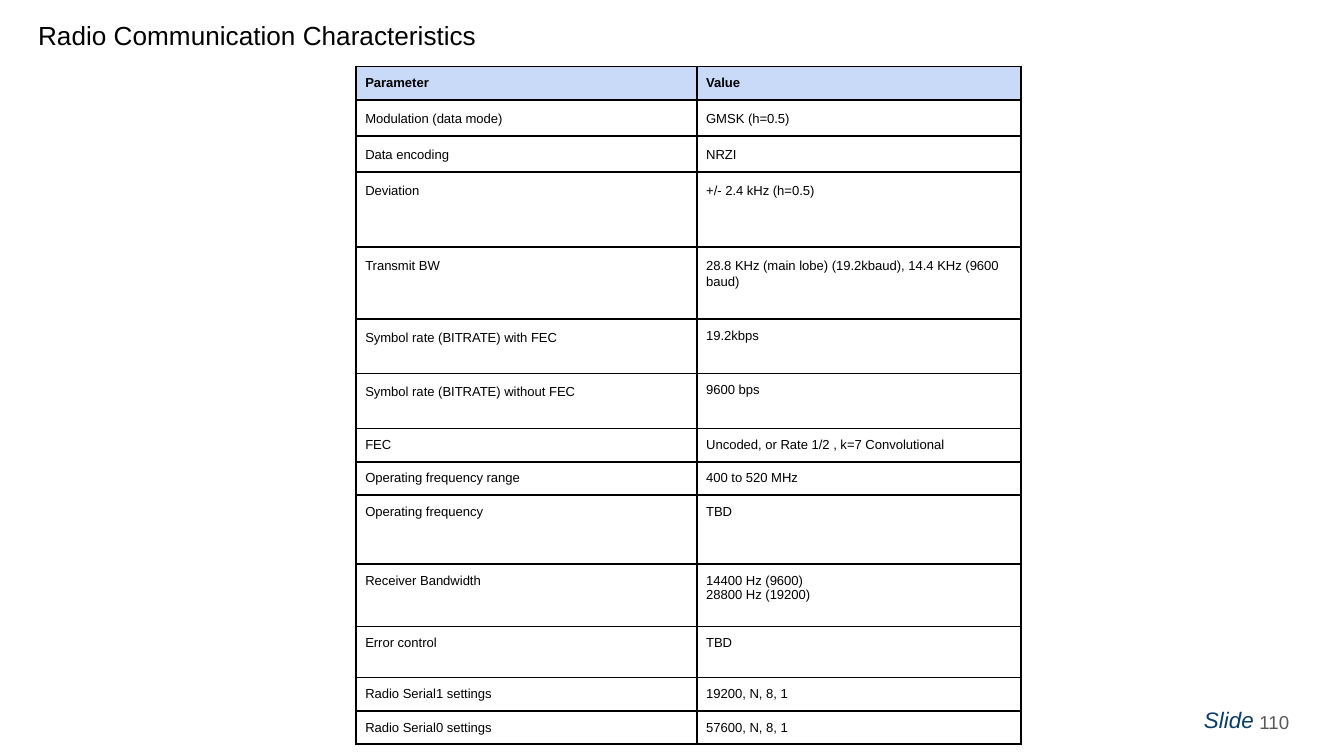
from dataclasses import dataclass
from lxml.etree import SubElement
from pptx import Presentation
from pptx.dml.color import RGBColor
from pptx.enum.text import MSO_ANCHOR, PP_ALIGN
from pptx.oxml.ns import qn
from pptx.util import Inches, Pt


@dataclass(frozen=True)
class Theme:
    font: str = "Arial"
    black: str = "000000"
    header_fill: str = "C9DAF8"
    number_gray: str = "595959"
    label_blue: str = "083D6E"
    title_size: int = 14
    label_size: int = 12
    number_size: int = 10
    table_size: int = 7
    border_width: int = 1


theme = Theme()
presentation = Presentation()
presentation.slide_width = Inches(10)
presentation.slide_height = Inches(10 * 9 / 16)
column = presentation.slide_width / 100
row = presentation.slide_height / 100
slide = presentation.slides.add_slide(presentation.slide_layouts[6])


def style(paragraph, size, color, bold=False, italic=False):
    paragraph.font.name = theme.font
    paragraph.font.size = Pt(size)
    paragraph.font.bold = bold
    paragraph.font.italic = italic
    paragraph.font.color.rgb = RGBColor.from_string(color)


def add_text(text, left, top, width, height, anchor, size, color, italic=False):
    shape = slide.shapes.add_textbox(
        int(left * column), int(top * row), int(width * column), int(height * row))
    frame = shape.text_frame
    frame.word_wrap = True
    frame.vertical_anchor = anchor
    frame.margin_left = frame.margin_right = Inches(0.1)
    frame.margin_top = frame.margin_bottom = Inches(0.1)
    frame.text = text
    style(frame.paragraphs[0], size, color, italic=italic)
    return frame.paragraphs[0]


parameters = [
    ("Parameter", "Value", 4.43, 1, 1),
    ("Modulation (data mode)", "GMSK (h=0.5)", 4.77, 1.15, 1.15),
    ("Data encoding", "NRZI", 4.77, 1.15, 1.15),
    ("Deviation", "+/- 2.4 kHz (h=0.5)", 9.92, 1.15, 1.15),
    ("Transmit BW", "28.8 KHz (main lobe) (19.2kbaud), 14.4 KHz (9600 baud)", 9.54, 1.15, 1.15),
    ("Symbol rate (BITRATE) with FEC", "19.2kbps", 7.24, 1.15, 1),
    ("Symbol rate (BITRATE) without FEC", "9600 bps", 7.24, 1.15, 1),
    ("FEC", "Uncoded, or Rate 1/2 , k=7 Convolutional", 4.43, 1, 1),
    ("Operating frequency range", "400 to 520 MHz", 4.43, 1, 1),
    ("Operating frequency", "TBD", 9.1, 1, 1),
    ("Receiver Bandwidth", "14400 Hz (9600)\n28800 Hz (19200)", 8.28, 1, 1),
    ("Error control", "TBD", 6.72, 1, 1),
    ("Radio Serial1 settings", "19200, N, 8, 1", 4.43, 1, 1),
    ("Radio Serial0 settings", "57600, N, 8, 1", 4.43, 1, 1),
]
column_shares = (25.37, 24.13)
table_height = sum(entry[2] for entry in parameters)
table = slide.shapes.add_table(
    len(parameters), len(column_shares), int(26.48 * column), int(8.77 * row),
    int(sum(column_shares) * column), int(table_height * row)).table
table.horz_banding = False
for table_column, share in zip(table.columns, column_shares):
    table_column.width = int(share * column)

for row_index, (parameter, value, share, *spacings) in enumerate(parameters):
    table.rows[row_index].height = int(share * row)
    header = row_index == 0
    for column_index, text in enumerate((parameter, value)):
        cell = table.cell(row_index, column_index)
        cell.margin_left = cell.margin_right = Inches(0.07)
        cell.margin_top = cell.margin_bottom = Inches(0.07)
        cell.text = text
        for paragraph in cell.text_frame.paragraphs:
            paragraph.line_spacing = float(spacings[column_index])
            style(paragraph, theme.table_size, theme.black, bold=header)
        properties = cell._tc.get_or_add_tcPr()
        for side in ("a:lnL", "a:lnR", "a:lnT", "a:lnB"):
            line = SubElement(properties, qn(side), w=str(Pt(theme.border_width)))
            SubElement(SubElement(line, qn("a:solidFill")), qn("a:srgbClr"), val=theme.black)
        if header:
            cell.fill.solid()
            cell.fill.fore_color.rgb = RGBColor.from_string(theme.header_fill)
        else:
            cell.fill.background()

title = add_text("Radio Communication Characteristics", -3.15, -2.1, 56.7, 12.8,
                 MSO_ANCHOR.MIDDLE, theme.title_size, theme.black)
title.line_spacing = 1.15
title._p.get_or_add_pPr().set("marL", str(Inches(0.5)))

slide_number = add_text("110", 90.2, 91.7, 6.7, 7.65,
                        MSO_ANCHOR.MIDDLE, theme.number_size, theme.number_gray)
slide_number.alignment = PP_ALIGN.RIGHT

add_text("Slide", 88.6, 91.6, 10.1, 4.3,
         MSO_ANCHOR.TOP, theme.label_size, theme.label_blue, italic=True)

presentation.save("out.pptx")
